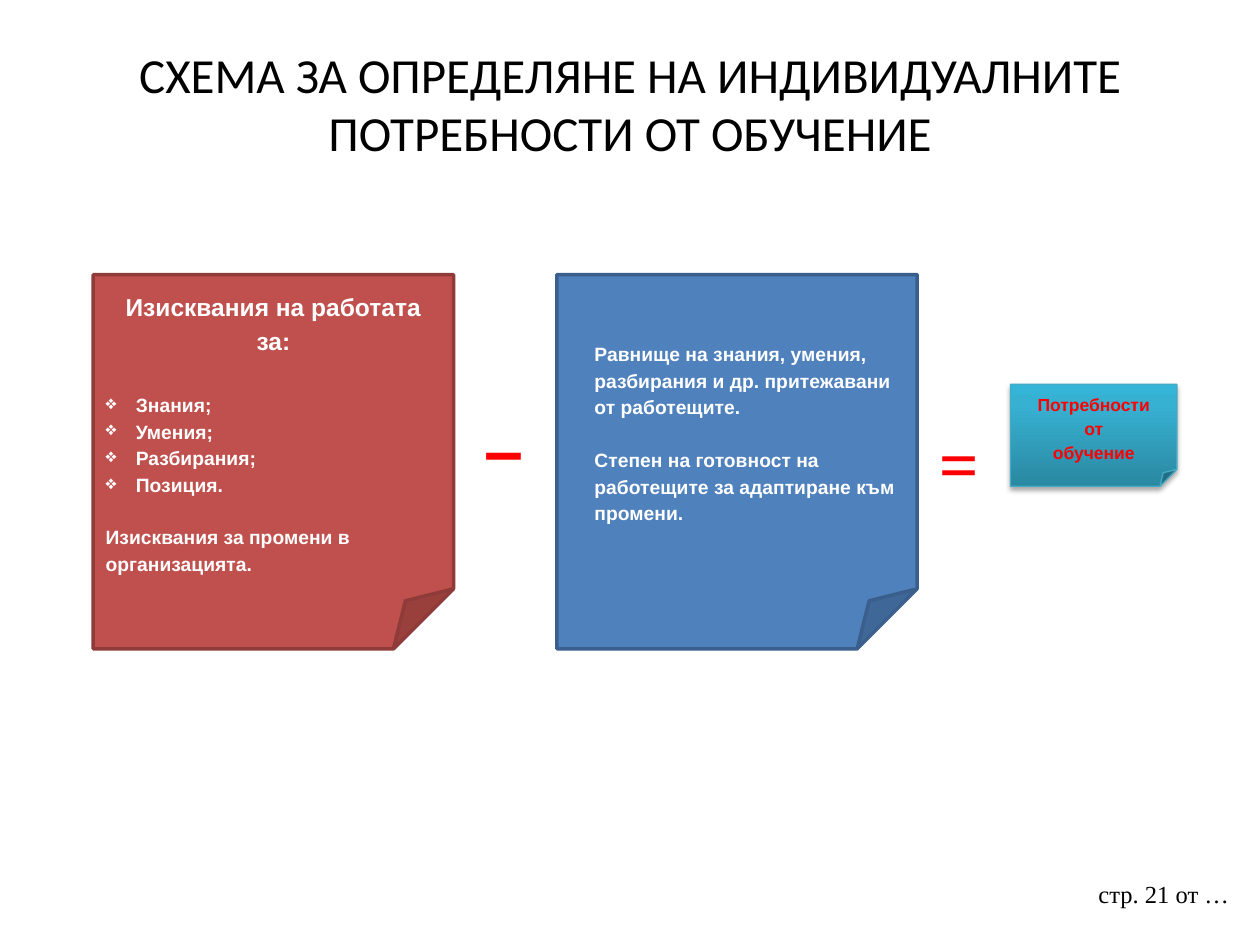
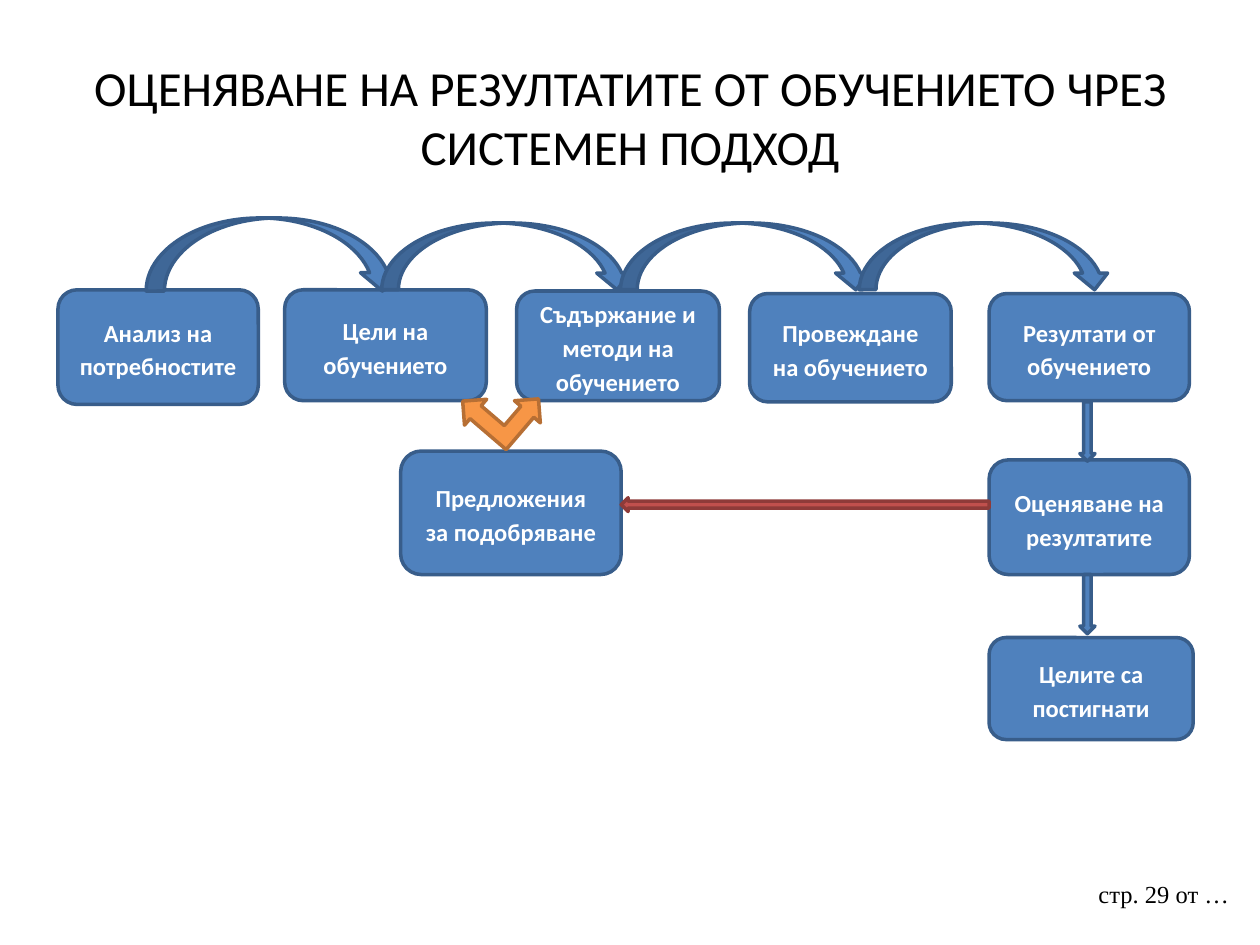
"""Build two slides on training needs and the evaluation of training results."""
from copy import deepcopy
from dataclasses import dataclass

from lxml import etree
from pptx import Presentation
from pptx import util as u
from pptx.dml.color import RGBColor
from pptx.enum import shapes, text
from pptx.oxml.ns import qn

WIDTH, HEIGHT = u.Inches(10), u.Inches(7.5)
COLUMN, ROW = WIDTH / 100, HEIGHT / 75
COLORS = {
    "black": "000000", "white": "FFFFFF", "red": "FF0000",
    "blue": "4F81BD", "blue_edge": "385D8A", "note_edge": "3A5F8C",
    "brick": "C0504D", "brick_edge": "8E3B39", "orange": "F79646", "orange_edge": "B76F34",
    "teal_dark": "2A88A2", "teal": "37B1D2", "teal_light": "34B4D6", "teal_edge": "46AAC5",
}
FORM = shapes.MSO_SHAPE
LEFT, CENTER = text.PP_ALIGN.LEFT, text.PP_ALIGN.CENTER
TOP, MIDDLE = text.MSO_ANCHOR.TOP, text.MSO_ANCHOR.MIDDLE


@dataclass(frozen=True)
class Area:
    """A place on the grid, in columns and rows."""
    column: float
    row: float
    columns: float
    rows: float

    def lengths(self) -> list[int]:
        """Return left, top, width and height as slide lengths."""
        return [round(n) for n in (self.column * COLUMN, self.row * ROW,
                                   self.columns * COLUMN, self.rows * ROW)]


@dataclass(frozen=True)
class Line:
    """A paragraph with its format."""
    words: str
    size: float = 14
    font: str = "Calibri"
    color: str = "white"
    bold: bool = True
    align: int = CENTER
    spacing: float = 1.15
    before: float = 0
    indent: float = 0
    bullet: str = ""


@dataclass(frozen=True)
class Figure:
    """A filled outline with optional text."""
    form: int
    area: Area
    lines: tuple[Line, ...] = ()
    fill: str = "blue"
    edge: str = "blue_edge"
    edge_width: float = 2
    rotation: float = 0


def rgb(name: str) -> RGBColor:
    """Return the named colour."""
    return RGBColor.from_string(COLORS[name])


def write(frame, lines: tuple[Line, ...], anchor: int = TOP) -> None:
    """Write formatted paragraphs into a text frame."""
    frame.word_wrap = True
    frame.auto_size = text.MSO_AUTO_SIZE.NONE
    frame.vertical_anchor = anchor
    for index, line in enumerate(lines):
        paragraph = frame.add_paragraph() if index else frame.paragraphs[0]
        paragraph.text = line.words
        paragraph.alignment = line.align
        paragraph.line_spacing = line.spacing
        if line.before:
            paragraph.space_before = u.Pt(line.before)
        properties = paragraph._p.get_or_add_pPr()
        if line.indent:
            margin = round(line.indent * COLUMN)
            properties.set("marL", str(margin))
            properties.set("indent", str(-margin if line.bullet else 0))
        if line.bullet:
            etree.SubElement(properties, qn("a:buChar"), char=line.bullet)
        font = paragraph.font
        font.name, font.size, font.bold = line.font, u.Pt(line.size), line.bold
        font.color.rgb = rgb(line.color)


def draw(slide, figure: Figure):
    """Draw a figure and return its shape."""
    shape = slide.shapes.add_shape(figure.form, *figure.area.lengths())
    shape.shadow.inherit = False
    shape.rotation = figure.rotation
    shape.fill.solid()
    shape.fill.fore_color.rgb = rgb(figure.fill)
    shape.line.color.rgb = rgb(figure.edge)
    shape.line.width = u.Pt(figure.edge_width)
    if figure.lines:
        write(shape.text_frame, figure.lines, MIDDLE)
    return shape


def label(slide, area: Area, line: Line) -> None:
    """Add a one-paragraph text box."""
    write(slide.shapes.add_textbox(*area.lengths()).text_frame, (line,))


def shade(shape, stops: list[tuple[float, str]]) -> None:
    """Give a shape an upward gradient and a soft shadow below."""
    shape.fill.gradient()
    shape.fill.gradient_angle = 90
    stop_list = shape._element.spPr.find(qn("a:gradFill")).find(qn("a:gsLst"))
    stop_list.insert(1, deepcopy(stop_list[0]))
    for element, (position, color) in zip(stop_list, stops):
        element.set("pos", str(round(position * 100000)))
        element.clear_content() if hasattr(element, "clear_content") else None
        for child in list(element):
            element.remove(child)
        etree.SubElement(element, qn("a:srgbClr"), val=COLORS[color])
    effects = shape._element.spPr.find(qn("a:effectLst"))
    shadow = etree.SubElement(effects, qn("a:outerShdw"), blurRad=str(u.Pt(3.1)),
                              dist=str(u.Pt(1.8)), dir="5400000", rotWithShape="0")
    tint = etree.SubElement(shadow, qn("a:srgbClr"), val=COLORS["black"])
    etree.SubElement(tint, qn("a:alpha"), val="35000")


def start_slide(deck, heading: str, page: int, anchor: int):
    """Add a slide with its title and page footer."""
    slide = deck.slides.add_slide(deck.slide_layouts[5])
    title = slide.shapes.title
    title.left, title.top, title.width, title.height = Area(5, 3, 90, 12.5).lengths()
    write(title.text_frame,
          (Line(heading, 28, color="black", bold=False, spacing=1.0),), anchor)
    label(slide, Area(86.2, 69.3, 13, 5.2),
          Line(f"стр. {page} от …", 14, "Times New Roman", "black", False, LEFT, 1.0))
    return slide


def build_needs(deck) -> None:
    """Draw required minus present abilities equals training needs."""
    slide = start_slide(
        deck, "СХЕМА ЗА ОПРЕДЕЛЯНЕ НА ИНДИВИДУАЛНИТЕ ПОТРЕБНОСТИ ОТ ОБУЧЕНИЕ", 21, TOP)
    abilities = ("Знания;", "Умения;", "Разбирания;", "Позиция.")
    requirements = (
        Line("Изисквания на работата за:", 14, "Arial"),
        *(Line(ability, 11, "Arial", align=LEFT, before=0 if index else 19.5,
               indent=2.4, bullet="❖") for index, ability in enumerate(abilities)),
        Line("Изисквания за промени в организацията.", 11, "Arial", align=LEFT, before=15),
    )
    present = tuple(
        Line(words, 11, "Arial", align=LEFT, before=before, indent=2)
        for words, before in (
            ("Равнище на знания, умения, разбирания и др. притежавани от работещите.", 0),
            ("Степен на готовност на работещите за адаптиране към промени.", 15)))
    needs = tuple(Line(word, 10, "Arial", "red")
                  for word in ("Потребности", "от", "обучение"))

    draw(slide, Figure(FORM.FOLDED_CORNER, Area(7.4, 21.8, 28.6, 29.7), requirements,
                       "brick", "brick_edge"))
    draw(slide, Figure(FORM.FOLDED_CORNER, Area(44.2, 21.8, 28.6, 29.7), present,
                       edge="note_edge"))
    result = draw(slide, Figure(FORM.FOLDED_CORNER, Area(80.2, 30.5, 13.2, 8.1), needs,
                                edge="teal_edge", edge_width=0.75))
    shade(result, [(0, "teal_dark"), (0.8, "teal"), (1, "teal_light")])
    frame = result.text_frame
    frame.margin_left = frame.margin_right = u.Inches(0.08)
    frame.margin_top = frame.margin_bottom = u.Inches(0.04)
    label(slide, Area(36.7, 30.7, 6.6, 4), Line("–", 40, "Arial", "red"))
    label(slide, Area(72.8, 31.8, 6.6, 5.8), Line("=", 40, "Times New Roman", "red"))


def build_evaluation(deck) -> None:
    """Draw the training cycle with its evaluation and feedback."""
    slide = start_slide(
        deck, "ОЦЕНЯВАНЕ НА РЕЗУЛТАТИТЕ ОТ ОБУЧЕНИЕТО ЧРЕЗ СИСТЕМЕН ПОДХОД", 29, MIDDLE)
    stages = (
        ("Целите са постигнати", Area(78.5, 50.6, 16.2, 8.1)),
        ("Оценяване на резултатите", Area(78.5, 36.5, 15.9, 9.1)),
        ("Цели на обучението", Area(22.6, 23, 16, 8.8)),
        ("Анализ на потребностите", Area(4.6, 23, 15.9, 9.1)),
        ("Предложения\vза подобряване", Area(31.8, 35.8, 17.5, 9.8)),
        ("Съдържание и методи на обучението", Area(41, 23.1, 16.1, 8.7)),
        ("Провеждане\vна обучението", Area(59.5, 23.3, 16, 8.6)),
        ("Резултати от обучението", Area(78.5, 23.3, 15.9, 8.5)),
    )
    for words, area in stages:
        draw(slide, Figure(FORM.ROUNDED_RECTANGLE, area, (Line(words),)))
    arcs = (Area(11.6, 17.3, 20.2, 5.8),
            *(Area(30.3 + 18.95 * step, 17.7, 20, 5.3) for step in range(3)))
    for arc in arcs:
        draw(slide, Figure(FORM.CURVED_DOWN_ARROW, arc))
    for row in (31.9, 45.6):
        draw(slide, Figure(FORM.DOWN_ARROW, Area(85.7, row, 1.2, 4.7)))
    draw(slide, Figure(FORM.RIGHT_ARROW, Area(49.3, 39.5, 29.2, 1.1),
                       fill="brick", edge="brick_edge", rotation=180))
    draw(slide, Figure(FORM.LEFT_UP_ARROW, Area(36.9, 30, 5.8, 5.4),
                       fill="orange", edge="orange_edge", rotation=40.6))


def main() -> None:
    """Build and save the presentation."""
    deck = Presentation()
    deck.slide_width, deck.slide_height = WIDTH, HEIGHT
    build_needs(deck)
    build_evaluation(deck)
    deck.save("out.pptx")


if __name__ == "__main__":
    main()
